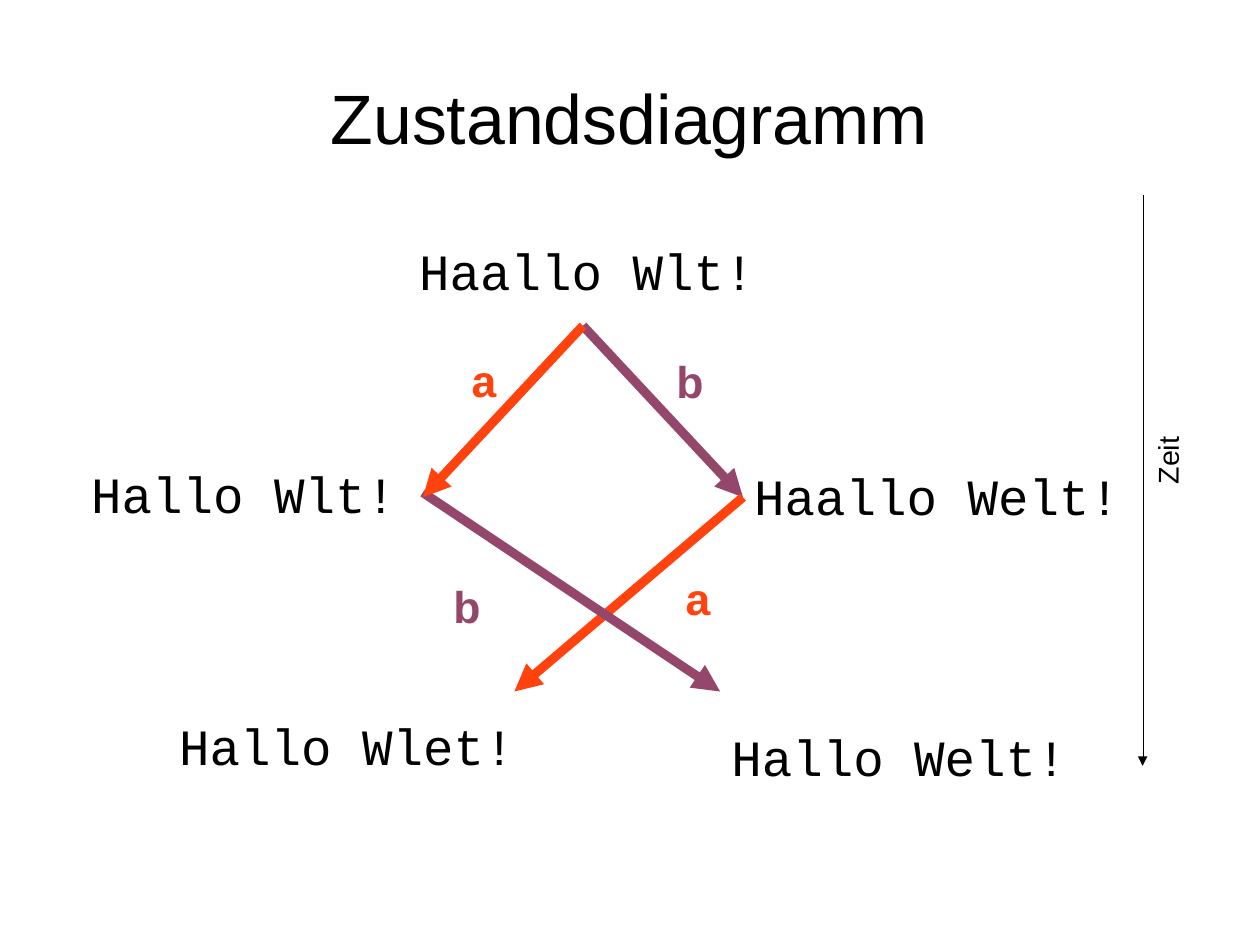
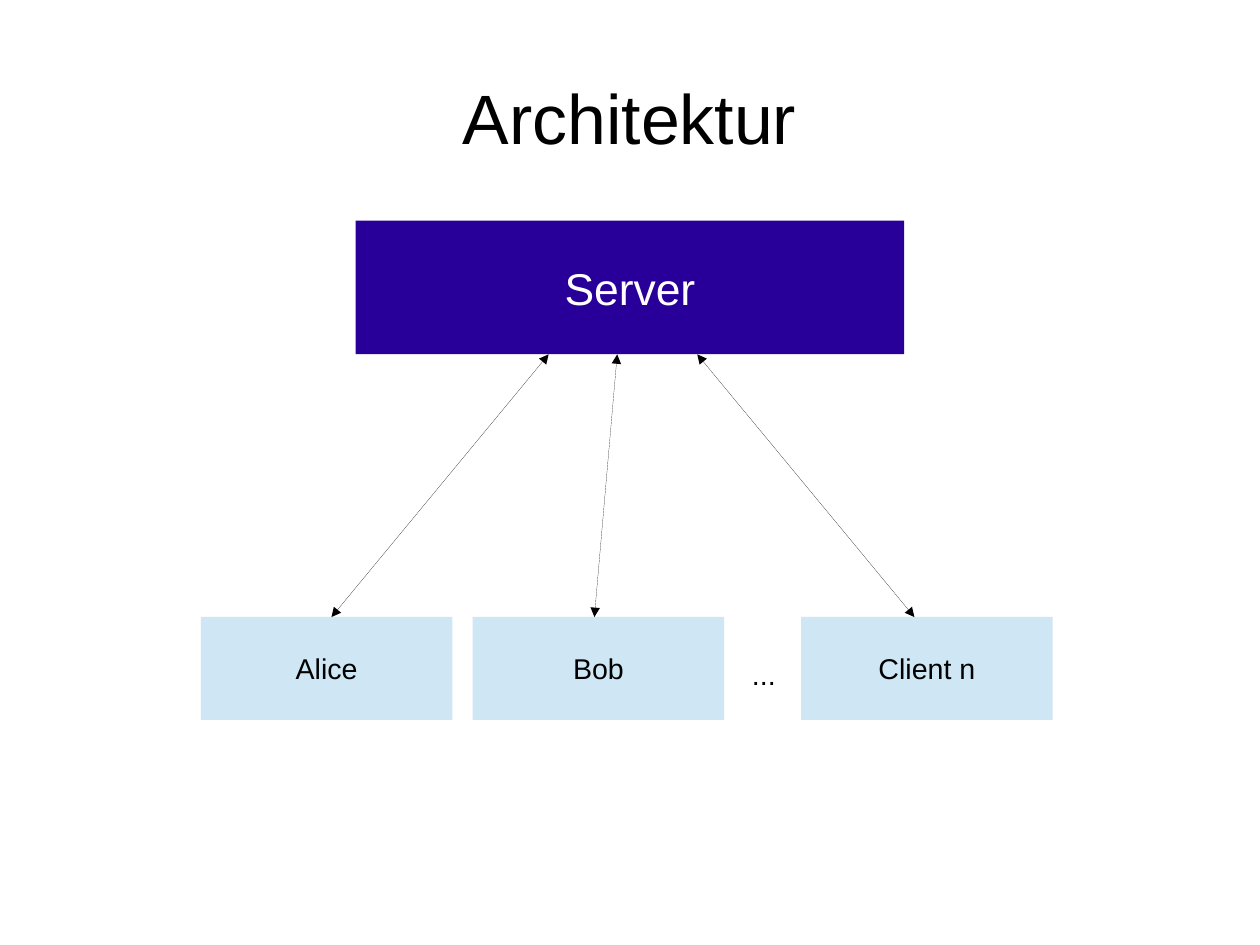
"""Build two slides: a state diagram and a client-server architecture."""
from dataclasses import dataclass

from lxml.etree import SubElement
from pptx import Presentation
from pptx.dml.color import RGBColor as Color
from pptx.enum.shapes import MSO_CONNECTOR as Connector, MSO_SHAPE as ShapeKind
from pptx.enum.text import MSO_ANCHOR as Anchor, MSO_AUTO_SIZE as AutoSize, PP_ALIGN as Align
from pptx.oxml.ns import qn
from pptx.presentation import Presentation as Deck
from pptx.shapes.autoshape import Shape
from pptx.slide import Slide
from pptx.util import Pt


@dataclass(frozen=True)
class Theme:
    black: str = "000000"
    white: str = "FFFFFF"
    process_a: str = "FF420E"
    process_b: str = "94476B"
    server: str = "280099"
    client: str = "CFE7F5"
    sans: str = "Arial"
    mono: str = "Courier New"
    title_size: float = 44
    state_size: float = 32
    large_size: float = 28
    small_size: float = 18
    thick_line: float = 5.75
    hairline: float = 0.01


THEME = Theme()


@dataclass(frozen=True)
class Style:
    size: float
    color: str = THEME.black
    font: str = THEME.sans
    bold: bool = False


@dataclass(frozen=True)
class Label:
    text: str
    left: float
    top: float
    width: float
    height: float
    style: Style
    rotation: float = 0


@dataclass(frozen=True)
class Box:
    text: str
    left: float
    top: float
    width: float
    height: float
    fill: str
    style: Style


@dataclass(frozen=True)
class Arrow:
    start: tuple[float, float]
    end: tuple[float, float]
    color: str = THEME.black
    width: float = THEME.hairline
    two_way: bool = False


TITLE = Style(THEME.title_size)
STATE = Style(THEME.state_size, font=THEME.mono)
STEP_A = Style(THEME.large_size, THEME.process_a, bold=True)
STEP_B = Style(THEME.large_size, THEME.process_b, bold=True)
SERVER = Style(THEME.large_size, THEME.white)
SMALL = Style(THEME.small_size)


def write(shape: Shape, text: str, style: Style, align: Align = Align.LEFT) -> None:
    paragraph = shape.text_frame.paragraphs[0]
    paragraph.text = text
    paragraph.alignment = align
    font = paragraph.font
    font.name = style.font
    font.size = Pt(style.size)
    font.bold = style.bold
    font.color.rgb = Color.from_string(style.color)


def add_title_slide(presentation: Deck, title: str) -> Slide:
    slide = presentation.slides.add_slide(presentation.slide_layouts[6])
    shape = slide.shapes.add_textbox(Pt(39.6), Pt(23.8), Pt(714.2), Pt(99.4))
    frame = shape.text_frame
    frame.word_wrap = True
    frame.vertical_anchor = Anchor.MIDDLE
    frame.margin_left = frame.margin_right = Pt(0)
    frame.margin_top = frame.margin_bottom = Pt(0)
    write(shape, title, TITLE, Align.CENTER)
    return slide


def add_label(slide: Slide, label: Label) -> None:
    shape = slide.shapes.add_textbox(
        Pt(label.left), Pt(label.top), Pt(label.width), Pt(label.height))
    shape.rotation = label.rotation
    shape.text_frame.word_wrap = False
    shape.text_frame.auto_size = AutoSize.SHAPE_TO_FIT_TEXT
    write(shape, label.text, label.style)


def add_box(slide: Slide, box: Box) -> None:
    shape = slide.shapes.add_shape(
        ShapeKind.RECTANGLE, Pt(box.left), Pt(box.top), Pt(box.width), Pt(box.height))
    shape.shadow.inherit = False
    shape.fill.solid()
    shape.fill.fore_color.rgb = Color.from_string(box.fill)
    shape.line.fill.background()
    shape.text_frame.word_wrap = False
    shape.text_frame.vertical_anchor = Anchor.MIDDLE
    write(shape, box.text, box.style, Align.CENTER)


def add_arrow(slide: Slide, arrow: Arrow) -> None:
    connector = slide.shapes.add_connector(
        Connector.STRAIGHT, *(Pt(value) for value in arrow.start + arrow.end))
    connector.line.color.rgb = Color.from_string(arrow.color)
    connector.line.width = Pt(arrow.width)
    properties = connector.element.spPr
    line = properties.find(qn("a:ln"))
    for tag in ("a:headEnd", "a:tailEnd") if arrow.two_way else ("a:tailEnd",):
        SubElement(line, qn(tag), type="triangle")
    SubElement(properties, qn("a:effectLst"))


def build_state_diagram(presentation: Deck) -> None:
    slide = add_title_slide(presentation, "Zustandsdiagramm")
    first, left, right = (367.2, 205.2), (266.4, 313.2), (468, 313.2)
    step_a = (THEME.process_a, THEME.thick_line)
    step_b = (THEME.process_b, THEME.thick_line)
    arrows = (
        Arrow(first, right, *step_b),
        Arrow((719.8, 123.1), (719.8, 482.4)),
        Arrow(right, (324, 435.6), *step_a),
        Arrow((266.4, 310.3), (453.6, 435.6), *step_b),
        Arrow(first, left, *step_a),
    )
    labels = (
        Label("Zeit", 711.3, 275, 46.9, 27.4, SMALL, 270.4),
        Label("Haallo Wlt!", 257, 147.6, 226.4, 43.2, STATE),
        Label("Hallo Wlt!", 50.4, 288, 207.2, 43.2, STATE),
        Label("Haallo Welt!", 468, 289.2, 246.4, 43.2, STATE),
        Label("Hallo Wlet!", 105.8, 446.4, 226.4, 43.2, STATE),
        Label("Hallo Welt!", 453.6, 453.4, 226.4, 43.2, STATE),
        Label("a", 290, 218.9, 29.5, 38.2, STEP_A),
        Label("b", 419, 219.8, 31.7, 38.2, STEP_B),
        Label("a", 424.8, 356.4, 29.5, 38.2, STEP_A),
        Label("b", 278.6, 361.4, 31.7, 38.2, STEP_B),
    )
    for arrow in arrows:
        add_arrow(slide, arrow)
    for label in labels:
        add_label(slide, label)


def build_architecture(presentation: Deck) -> None:
    slide = add_title_slide(presentation, "Architektur")
    server_top, server_height, client_top = 139, 84.2, 388.7
    add_box(slide, Box("Server", 224, server_top, 345.6, server_height, THEME.server, SERVER))
    clients = (
        ("Alice", 126.6, 208.8, 345.6),
        ("Bob", 297.8, 374.4, 388.8),
        ("Client n", 504.7, 576, 439.2),
    )
    for name, left, client_end, server_end in clients:
        add_box(slide, Box(name, left, client_top, 158.4, 64.8, THEME.client, SMALL))
        add_arrow(slide, Arrow((client_end, client_top),
                               (server_end, server_top + server_height), two_way=True))
    add_label(slide, Label("...", 466.6, 410.4, 29.5, 27.4, SMALL))


def main() -> None:
    presentation = Presentation()
    presentation.slide_width = Pt(793.7)
    presentation.slide_height = Pt(595.28)
    build_state_diagram(presentation)
    build_architecture(presentation)
    presentation.save("out.pptx")


if __name__ == "__main__":
    main()
